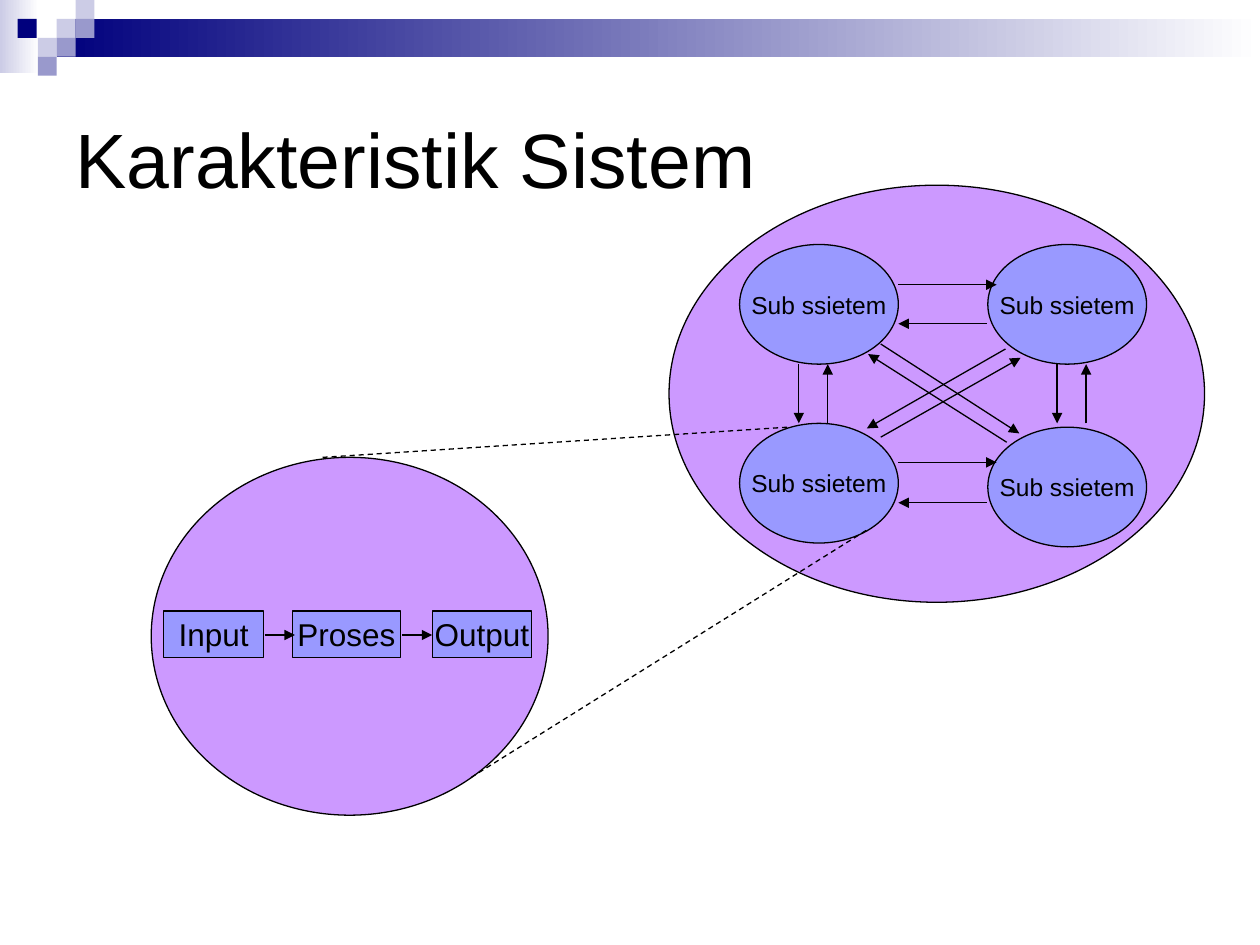
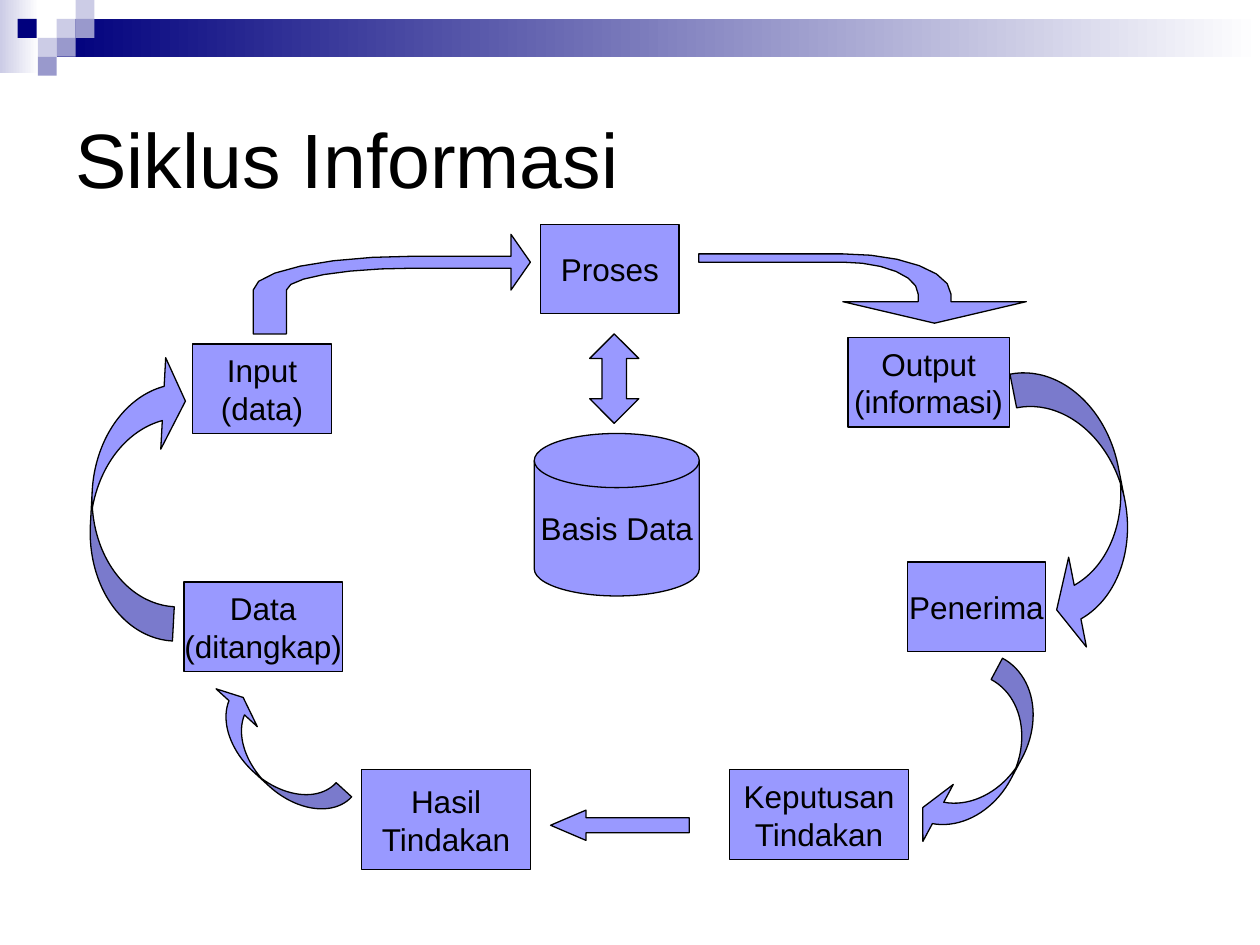
import math
import lxml.etree
import pptx
import pptx.util
import pptx.dml.color
import pptx.enum.dml
import pptx.enum.shapes
import pptx.enum.text
import pptx.oxml.ns

Inches = pptx.util.Inches
SHAPES = pptx.enum.shapes.MSO_SHAPE
FONT = "Arial"
BLACK, WHITE, NAVY = "000000", "FFFFFF", "00007D"
PALE, MIDDLE = "CCCCE6", "9999CC"
BLUE, PURPLE = "9999FF", "CC99FF"


def colour(value):
    return pptx.dml.color.RGBColor.from_string(value)


def write(box, text, size=18, align="CENTER", wrap=False):
    frame = box.text_frame
    frame.word_wrap = wrap
    frame.vertical_anchor = pptx.enum.text.MSO_ANCHOR.MIDDLE
    for index, line in enumerate(text.split("\n")):
        para = frame.add_paragraph() if index else frame.paragraphs[0]
        para.alignment = getattr(pptx.enum.text.PP_ALIGN, align)
        span = para.add_run()
        span.text = line
        span.font.name = FONT
        span.font.size = pptx.util.Pt(size)
        span.font.color.rgb = colour(BLACK)


def paint(shape, fill, outlined=True):
    shape.shadow.inherit = False
    shape.fill.solid()
    shape.fill.fore_color.rgb = colour(fill)
    if outlined:
        shape.line.color.rgb = colour(BLACK)
        shape.line.width = pptx.util.Pt(0.74)
    else:
        shape.line.fill.background()


def add_box(page, kind, box, fill=BLUE, text="", size=18, outlined=True, adjust=()):
    shape = page.shapes.add_shape(kind, *map(Inches, box))
    paint(shape, fill, outlined)
    for index, value in enumerate(adjust):
        shape.adjustments[index] = value
    if text:
        write(shape, text, size)
    return shape


def add_line(page, start, end, dashed=False):
    line = page.shapes.add_connector(
        pptx.enum.shapes.MSO_CONNECTOR.STRAIGHT, *map(Inches, (*start, *end)))
    line.line.color.rgb = colour(BLACK)
    line.line.width = pptx.util.Pt(0.74)
    if dashed:
        line.line.dash_style = pptx.enum.dml.MSO_LINE.DASH
    else:
        tail = lxml.etree.SubElement(line.line._get_or_add_ln(), pptx.oxml.ns.qn("a:tailEnd"))
        tail.set("type", "triangle")
    lxml.etree.SubElement(line._element.spPr, pptx.oxml.ns.qn("a:effectLst"))


def quarter(centre, radii, first, last, steps=6):
    angles = [math.radians(first + (last - first) * step / steps) for step in range(steps + 1)]
    return [(centre[0] + radii[0] * math.cos(angle), centre[1] + radii[1] * math.sin(angle))
            for angle in angles]


def add_curved_arrow(page, box, angle):
    ratio = box[3] / box[2]
    arrow = add_box(page, SHAPES.CURVED_LEFT_ARROW, box,
                    adjust=(0.12 * ratio, 0.32 * ratio, 0.25))
    arrow.rotation = angle


def add_bent_arrow(page, box, angle, neck, near, far):
    left, top, width, height = box
    bend, shaft, tip = 0.58, 0.12, 0.28
    points = [(0, 1)]
    points += quarter((bend, 2 * tip), (bend, 2 * tip - near), 180, 270)
    points += [(neck, near), (neck, 0), (1, tip), (neck, 2 * tip), (neck, far)]
    points += quarter((bend, 2 * tip), (bend - shaft, 2 * tip - far), 270, 180)
    points += [(shaft, 1)]
    placed = [(Inches(left + u * width), Inches(top + v * height)) for u, v in points]
    builder = page.shapes.build_freeform(*placed[0])
    builder.add_line_segments(placed[1:], close=True)
    arrow = builder.convert_to_shape()
    paint(arrow, BLUE)
    arrow.rotation = angle


def add_frame(page, title):
    for box, fill in (((0, 0, 0.31, 0.58), PALE), ((0.45, 0.15, 9.55, 0.3), NAVY)):
        band = add_box(page, SHAPES.RECTANGLE, box, outlined=False)
        band.fill.gradient()
        band.fill.gradient_angle = 0
        for stop, value in zip(band.fill.gradient_stops, (fill, WHITE)):
            stop.color.rgb = colour(value)
    unit = 0.15
    for left, row, fill in ((0.45, 1, PALE), (0.6, 0, PALE), (0.6, 1, MIDDLE), (0.3, 2, PALE),
                            (0.14, 1, NAVY), (0.45, 2, MIDDLE), (0.3, 3, MIDDLE)):
        add_box(page, SHAPES.RECTANGLE, (left, row * unit, unit, unit), fill, outlined=False)
    heading = page.shapes.add_textbox(*map(Inches, (0.5, 0.5, 9, 1.5)))
    write(heading, title, size=44, align="LEFT", wrap=True)


def add_subsystems(page, box):
    left, top = box[:2]
    add_box(page, SHAPES.OVAL, box, PURPLE)
    for x, y in ((0.56, 0.47), (2.53, 0.47), (0.56, 1.89), (2.53, 1.92)):
        add_box(page, SHAPES.OVAL, (left + x, top + y, 1.26, 0.95),
                text="Sub ssietem", size=14)
    links = []
    for y, back in ((0.79, 1.1), (2.2, 2.52)):
        links += [(1.82, y, 2.6, y), (2.52, back, 1.82, back)]
    for x in (1.03, 3.08):
        links += [(x, 1.42, x, 1.89), (x + 0.23, 1.89, x + 0.23, 1.42)]
    links += [(2.68, 2.04, 1.58, 1.34), (1.68, 1.26, 2.78, 1.97),
              (2.67, 1.3, 1.57, 1.93), (1.68, 2, 2.79, 1.37)]
    for x1, y1, x2, y2 in links:
        add_line(page, (left + x1, top + y1), (left + x2, top + y2))


def add_process(page, box):
    left, top = box[:2]
    add_box(page, SHAPES.OVAL, box, PURPLE)
    for text, x, width in (("Input", 0.1, 0.79), ("Proses", 1.12, 0.86), ("Output", 2.23, 0.79)):
        add_box(page, SHAPES.RECTANGLE, (left + x, top + 1.22, width, 0.37), text=text)
    for x in (0.9, 1.99):
        add_line(page, (left + x, top + 1.41), (left + x + 0.24, top + 1.41))


def build_characteristics(page):
    add_frame(page, "Karakteristik Sistem")
    add_subsystems(page, (5.31, 1.47, 4.25, 3.31))
    add_process(page, (1.2, 3.63, 3.15, 2.84))
    add_line(page, (3.74, 6.17), (6.89, 4.2), dashed=True)
    add_line(page, (2.56, 3.63), (6.26, 3.39), dashed=True)


def add_cycle(page, left, top):
    def at(x, y, width, height):
        return left + x, top + y, width, height

    for text, box in (("Proses", (3.56, 0, 1.1, 0.71)),
                      ("Output\n(informasi)", (6, 0.9, 1.28, 0.71)),
                      ("Penerima", (6.47, 2.68, 1.1, 0.71)),
                      ("Keputusan\nTindakan", (5.06, 4.33, 1.42, 0.71)),
                      ("Hasil\nTindakan", (2.14, 4.33, 1.34, 0.79)),
                      ("Data\n(ditangkap)", (0.73, 2.84, 1.26, 0.71)),
                      ("Input\n(data)", (0.8, 0.95, 1.1, 0.71))):
        add_box(page, SHAPES.RECTANGLE, at(*box), text=text)
    add_box(page, SHAPES.FLOWCHART_MAGNETIC_DISK, at(3.51, 1.66, 1.31, 1.29), text="Basis Data")
    add_box(page, SHAPES.UP_DOWN_ARROW, at(3.95, 0.87, 0.39, 0.71), adjust=(0.36, 0.5))
    add_bent_arrow(page, at(5.84, -0.79, 0.55, 2.6), 90, neck=0.69, near=0.23, far=0.33)
    add_curved_arrow(page, at(6.82, 3.47, 0.51, 1.6), 28.1)
    add_box(page, SHAPES.LEFT_ARROW, at(3.64, 4.65, 1.1, 0.24), adjust=(0.5, 1.17))
    add_curved_arrow(page, at(1.23, 3.52, 0.38, 1.39), 132.5)
    add_curved_arrow(page, at(0, 1.02, 0.7, 2.27), 183.1)
    add_curved_arrow(page, at(7.5, 1.1, 0.7, 2.27), 348.8)
    add_bent_arrow(page, at(1.28, 0.08, 2.2, 0.79), 0, neck=0.93, near=0.22, far=0.34)


def build_cycle(page):
    add_frame(page, "Siklus Informasi")
    add_cycle(page, 0.73, 1.78)


deck = pptx.Presentation()
deck.slide_width, deck.slide_height = Inches(10), Inches(7.5)
for build in (build_characteristics, build_cycle):
    build(deck.slides.add_slide(deck.slide_layouts[6]))
deck.save("out.pptx")
